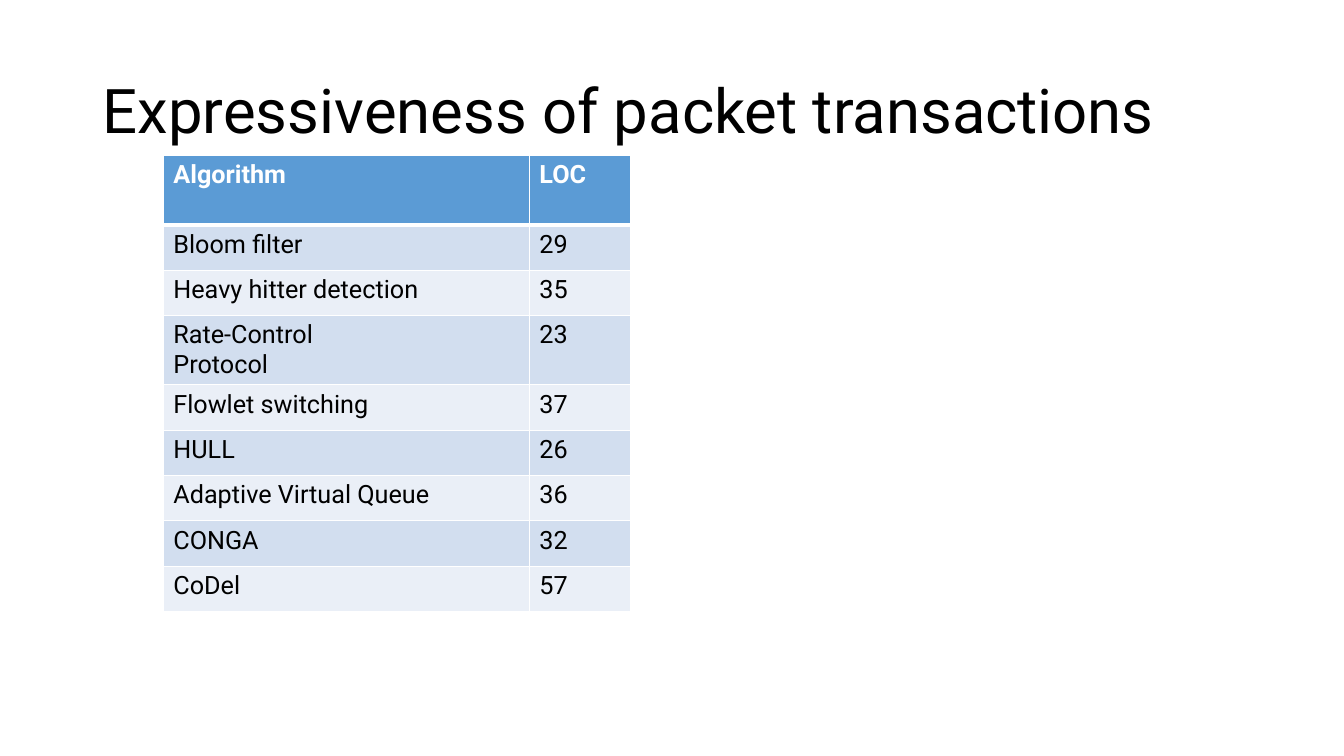
import pptx
import pptx.util
import pptx.dml.color
import pptx.enum.text
import pptx.oxml
import pptx.oxml.ns
from pptx.util import Inches

COLORS = {"header": "5B9BD5", "odd": "D2DEEF", "even": "EAEFF7",
          "white": "FFFFFF", "black": "000000"}
FONT = "Roboto"
ALGORITHMS = [
    ("Bloom filter", 29),
    ("Heavy hitter detection", 35),
    ("Rate-Control\nProtocol", 23),
    ("Flowlet switching", 37),
    ("HULL", 26),
    ("Adaptive Virtual Queue", 36),
    ("CONGA", 32),
    ("CoDel", 57),
]


def rgb(name):
    return pptx.dml.color.RGBColor.from_string(COLORS[name])


def format_text(tf, size, color, bold=False):
    for p in tf.paragraphs:
        p.font.name = FONT
        p.font.size = pptx.util.Pt(size)
        p.font.bold = bold
        p.font.color.rgb = rgb(color)


def add_title(s, text):
    sp = s.shapes.title
    sp.left, sp.top = Inches(0.92), Inches(0.4)
    sp.width, sp.height = Inches(11.5), Inches(1.45)
    tf = sp.text_frame
    tf.text = text
    tf.vertical_anchor = pptx.enum.text.MSO_ANCHOR.MIDDLE
    p = tf.paragraphs[0]
    p.alignment = pptx.enum.text.PP_ALIGN.LEFT
    p.line_spacing = 0.9
    format_text(tf, 44, "black")


def add_borders(cell, top, bottom):
    """Draw white cell borders; top and bottom are widths in points.

    Call before setting the fill, which must follow the lines in the XML.
    """
    tcPr = cell._tc.get_or_add_tcPr()
    for side, width in (("L", 1), ("R", 1), ("T", top), ("B", bottom)):
        tcPr.append(pptx.oxml.parse_xml(
            f'<a:ln{side} {pptx.oxml.ns.nsdecls("a")} w="{pptx.util.Pt(width)}">'
            f'<a:solidFill><a:srgbClr val="{COLORS["white"]}"/></a:solidFill>'
            f'</a:ln{side}>'))


def format_cell(cell, text, row):
    header = row == 0
    add_borders(cell, 3 if row == 1 else 1, 3 if header else 1)
    cell.fill.solid()
    cell.fill.fore_color.rgb = rgb("header" if header else "odd" if row % 2 else "even")
    cell.text_frame.text = str(text)
    format_text(cell.text_frame, 18, "white" if header else "black", header)


def add_table(s, rows, widths, header_height, row_height):
    height = header_height + row_height * (len(rows) - 1)
    table = s.shapes.add_table(len(rows), len(widths), Inches(1.62), Inches(1.54),
                               Inches(sum(widths)), Inches(height)).table
    for column, width in zip(table.columns, widths):
        column.width = Inches(width)
    for i, values in enumerate(rows):
        table.rows[i].height = Inches(row_height if i else header_height)
        for j, value in enumerate(values):
            format_cell(table.cell(i, j), value, i)


def main():
    prs = pptx.Presentation()
    prs.slide_width, prs.slide_height = Inches(13.33), Inches(7.5)
    s = prs.slides.add_slide(prs.slide_layouts.get_by_name("Title Only"))
    add_title(s, "Expressiveness of packet transactions")
    add_table(s, [("Algorithm", "LOC")] + ALGORITHMS, (3.63, 1), 0.69, 0.45)
    prs.save("out.pptx")


if __name__ == "__main__":
    main()
